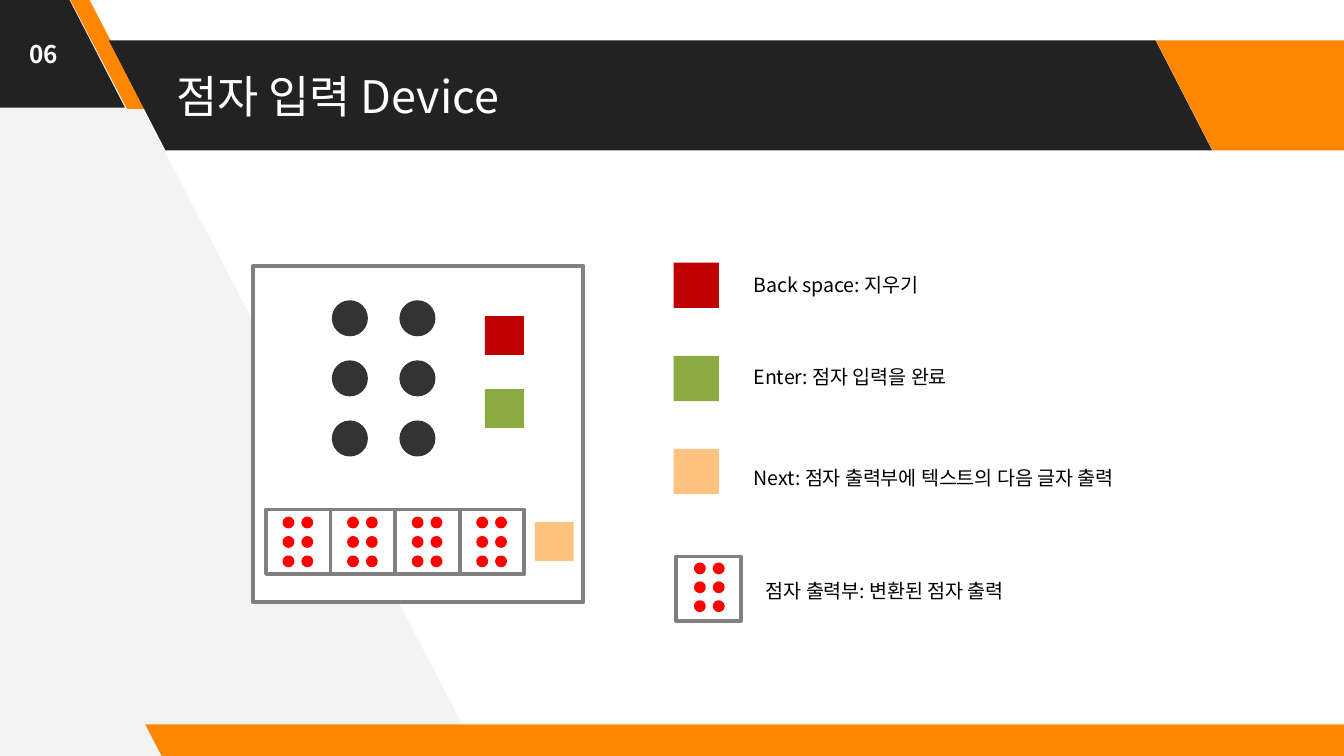
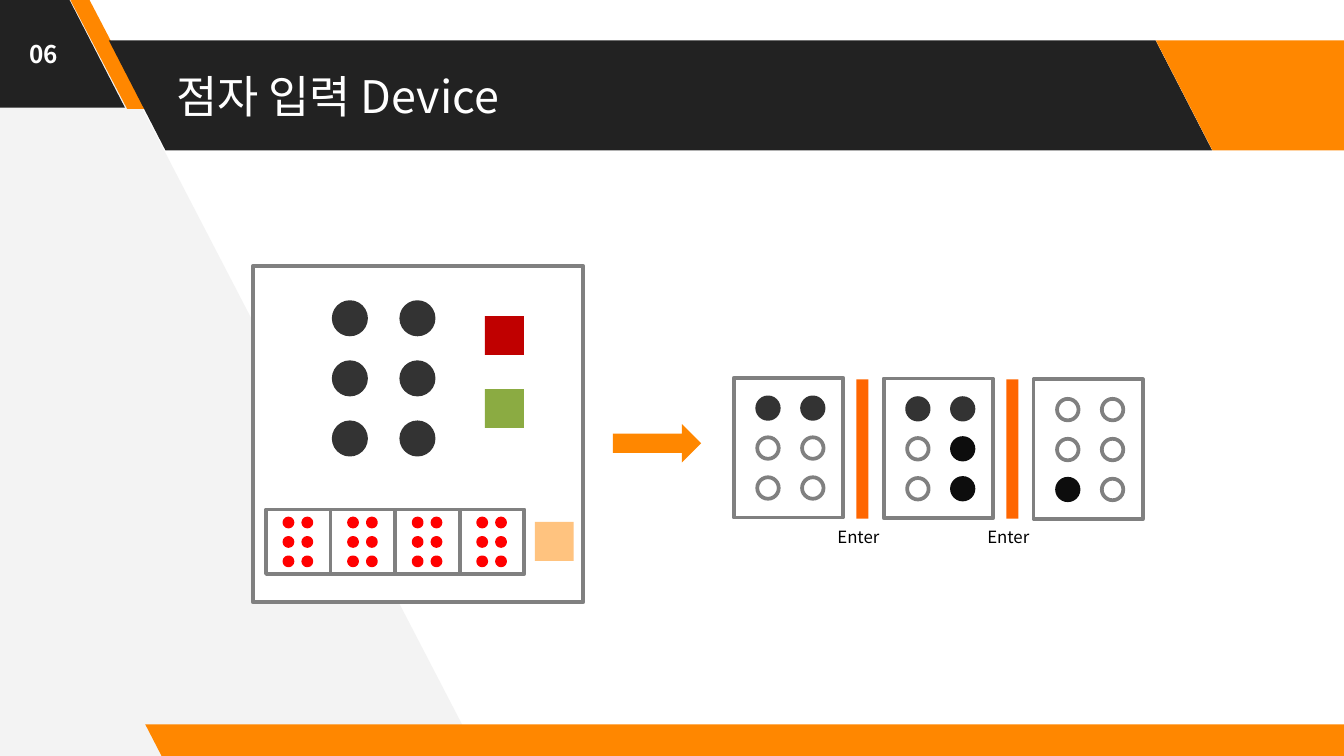
from dataclasses import dataclass

from lxml import etree
from pptx import Presentation
from pptx.dml.color import RGBColor
from pptx.enum.shapes import MSO_SHAPE
from pptx.enum.text import MSO_ANCHOR, MSO_AUTO_SIZE, PP_ALIGN
from pptx.oxml.ns import qn
from pptx.util import Pt

RECT = MSO_SHAPE.RECTANGLE
OVAL = MSO_SHAPE.OVAL
SLANT = MSO_SHAPE.PARALLELOGRAM
ARROW = MSO_SHAPE.RIGHT_ARROW
MIDDLE = MSO_ANCHOR.MIDDLE
LEFT, CENTER = PP_ALIGN.LEFT, PP_ALIGN.CENTER
GROW, FIXED = MSO_AUTO_SIZE.SHAPE_TO_FIT_TEXT, MSO_AUTO_SIZE.NONE

FONT = "Noto Sans CJK KR"
TITLE_ONLY = 5
COLORS = {
    "white": "FFFFFF", "black": "000000", "pale": "F3F3F3", "band": "222222",
    "orange": "FF8700", "divider": "FF6600", "gray": "808080", "key": "333333",
    "ink": "0D0D0D", "pin": "FF0000", "back": "C00000", "enter": "8BAB42",
    "next": "FFC37F",
}
DOT_MARKS = {
    "k": ("key", "key"), "i": ("ink", "ink"),
    "p": ("pin", "pin"), "o": (None, "gray"),
}


@dataclass
class Box:
    x: float
    y: float
    w: float
    h: float


@dataclass
class Band:
    box: Box
    slant: float
    color: str


@dataclass
class Dots:
    x: float
    y: float
    size: float
    dx: float
    dy: float
    rows: tuple


@dataclass
class Label:
    box: Box
    text: str
    size: float = 10.5
    wrap: bool = False
    spacing: float = 1.0


@dataclass
class Swatch:
    box: Box
    color: str


BACKDROP = ((256.3, 405), (44.6, -2.9), (-4.3, -2.9), (-1.4, 407.5))
BANDS = (
    Band(Box(-71.3, -1.4, 138.2, 59), 0.515, "band"),
    Band(Box(37.4, -0.7, 41, 59), 0.75, "orange"),
    Band(Box(58.3, 21.6, 591.1, 59), 0.515, "band"),
    Band(Box(619.2, 21.6, 138.2, 59), 0.515, "orange"),
    Band(Box(77.8, 388, 658.8, 18), 0.515, "orange"),
)
TITLE_BOX = Box(87.1, 21.6, 529.2, 59)
NUMBER_BOX = Box(0, 0, 46.8, 57.6)

CELL = 34.6
PINS = ("pp",) * 3
DEVICE = Box(135.4, 142.6, 177.1, 180)
DEVICE_KEYS = Dots(178.8, 161.9, 17.3, 36.2, 32.2, ("kk",) * 3)
DEVICE_SWATCHES = (
    Swatch(Box(259.8, 169.3, 20.9, 20.9), "back"),
    Swatch(Box(259.8, 208.4, 20.9, 20.9), "enter"),
    Swatch(Box(286.5, 279.6, 20.9, 20.9), "next"),
)
LEGEND_COLORS = ("back", "enter", "next")
LEGEND_LABELS = (
    Label(Box(396.7, 142.6, 114.5, 20), "Back space: 지우기"),
    Label(Box(396.7, 192.2, 124.6, 20), "Enter: 점자 입력을 완료"),
    Label(Box(396.7, 239.8, 219.6, 24.5),
          "Next: 점자 출력부에 텍스트의 다음 글자 출력", wrap=True, spacing=1.5),
    Label(Box(403.2, 300.2, 172.1, 24.5),
          "점자 출력부: 변환된 점자 출력", wrap=True, spacing=1.5),
)
LETTERS = (("kk", "oo", "oo"), ("kk", "oi", "oi"), ("oo", "oo", "io"))
LETTER_STEP = 80.3


def rgb(name: str) -> RGBColor:
    return RGBColor.from_string(COLORS[name])


def style(sp, fill: str | None, line: str | None = None):
    sp.shadow.inherit = False
    if fill:
        sp.fill.solid()
        sp.fill.fore_color.rgb = rgb(fill)
    else:
        sp.fill.background()
    if line:
        sp.line.color.rgb = rgb(line)
        sp.line.width = Pt(2)
    else:
        sp.line.fill.background()
    return sp


def add_shape(shapes, kind, box: Box, fill: str | None, line: str | None = None):
    sp = shapes.add_shape(kind, Pt(box.x), Pt(box.y), Pt(box.w), Pt(box.h))
    return style(sp, fill, line)


def add_run(p, text: str, size: float, color: str, bold: bool = False) -> None:
    r = p.add_run()
    r.text = text
    r.font.size = Pt(size)
    r.font.bold = bold
    r.font.color.rgb = rgb(color)
    r.font.name = FONT
    etree.SubElement(r.font._element, qn("a:ea")).set("typeface", FONT)


def add_label(shapes, label: Label) -> None:
    b = label.box
    tf = shapes.add_textbox(Pt(b.x), Pt(b.y), Pt(b.w), Pt(b.h)).text_frame
    tf.word_wrap = label.wrap
    tf.auto_size = GROW
    p = tf.paragraphs[0]
    p.line_spacing = label.spacing
    add_run(p, label.text, label.size, "black")


def add_dots(shapes, dots: Dots) -> None:
    for row, marks in enumerate(dots.rows):
        for col, mark in enumerate(marks):
            box = Box(dots.x + col * dots.dx, dots.y + row * dots.dy,
                      dots.size, dots.size)
            add_shape(shapes, OVAL, box, *DOT_MARKS[mark])


def add_swatch(shapes, swatch: Swatch) -> None:
    add_shape(shapes, RECT, swatch.box, swatch.color)


def add_heading_text(tf, text: str, size: float, align, bold: bool = False) -> None:
    tf.word_wrap = True
    tf.auto_size = FIXED
    tf.vertical_anchor = MIDDLE
    tf.margin_left = tf.margin_right = Pt(7.2)
    tf.margin_top = tf.margin_bottom = Pt(7.2)
    p = tf.paragraphs[0]
    p.alignment = align
    add_run(p, text, size, "white", bold)


def decorate_layout(s) -> None:
    points = [(Pt(x), Pt(y)) for x, y in BACKDROP]
    builder = s.shapes.build_freeform(*points[0], scale=1.0)
    builder.add_line_segments(points[1:], close=True)
    decor = [style(builder.convert_to_shape(), "pale")]
    for band in BANDS:
        sp = add_shape(s.shapes, SLANT, band.box, band.color)
        sp.adjustments[0] = band.slant
        sp.element.spPr.xfrm.set("flipH", "1")
        decor.append(sp)
    tree = s.slide_layout.shapes.element
    for i, sp in enumerate(decor):
        sp.element.nvSpPr.cNvPr.set("id", str(100 + i))
        tree.insert(2 + i, sp.element)


def add_heading(s, title: str, number: str) -> None:
    sp, b = s.shapes.title, TITLE_BOX
    sp.left, sp.top, sp.width, sp.height = Pt(b.x), Pt(b.y), Pt(b.w), Pt(b.h)
    add_heading_text(sp.text_frame, title, 24, LEFT)
    b = NUMBER_BOX
    sp = s.shapes.add_textbox(Pt(b.x), Pt(b.y), Pt(b.w), Pt(b.h))
    add_heading_text(sp.text_frame, number, 13, CENTER, bold=True)


def add_device(s) -> None:
    shapes = s.shapes.add_group_shape().shapes
    add_shape(shapes, RECT, DEVICE, "white", "gray")
    add_dots(shapes, DEVICE_KEYS)
    for swatch in DEVICE_SWATCHES:
        add_swatch(shapes, swatch)
    for i in range(4):
        x, y = 142.5 + i * CELL, 272.9
        add_shape(shapes, RECT, Box(x, y, CELL, CELL), None, "gray")
        add_dots(shapes, Dots(x + 9.9, y + 4.9, 4.3, 10.1, 10.4, PINS))


def add_legend(s) -> None:
    for i, color in enumerate(LEGEND_COLORS):
        add_swatch(s.shapes, Swatch(Box(360.9, 140.7 + i * 49.9, 24.3, 24.3), color))
    x, y = 362.2, 298.1
    add_shape(s.shapes, RECT, Box(x, y, CELL, CELL), None, "gray")
    add_dots(s.shapes, Dots(x + 10.6, y + 4.3, 4.3, 10.1, 10.1, PINS))
    for label in LEGEND_LABELS:
        add_label(s.shapes, label)


def add_letters(s) -> None:
    add_shape(s.shapes, ARROW, Box(328.3, 227.2, 47.3, 20.6), "orange")
    for i, rows in enumerate(LETTERS):
        x, y = 393.1 + i * LETTER_STEP, 202.4 + i * 0.4
        shapes = s.shapes.add_group_shape().shapes
        add_shape(shapes, RECT, Box(x, y, 58.6, 74.9), "white", "gray")
        add_dots(shapes, Dots(x + 12.6, y + 10.5, 11.5, 24, 21.4, rows))
    for i in range(len(LETTERS) - 1):
        shift = i * LETTER_STEP
        add_shape(s.shapes, RECT, Box(458.8 + shift, 203.2, 6.5, 74.7), "divider")
        add_label(s.shapes, Label(Box(441.5 + shift, 278.6, 41.8, 18), "Enter", 9))


def main() -> None:
    prs = Presentation()
    prs.slide_width, prs.slide_height = Pt(720), Pt(405)
    layout = prs.slide_layouts[TITLE_ONLY]
    for i, add_content in enumerate((add_legend, add_letters)):
        s = prs.slides.add_slide(layout)
        if i == 0:
            decorate_layout(s)
        add_heading(s, "점자 입력 Device", "06")
        add_device(s)
        add_content(s)
    prs.save("out.pptx")


if __name__ == "__main__":
    main()
